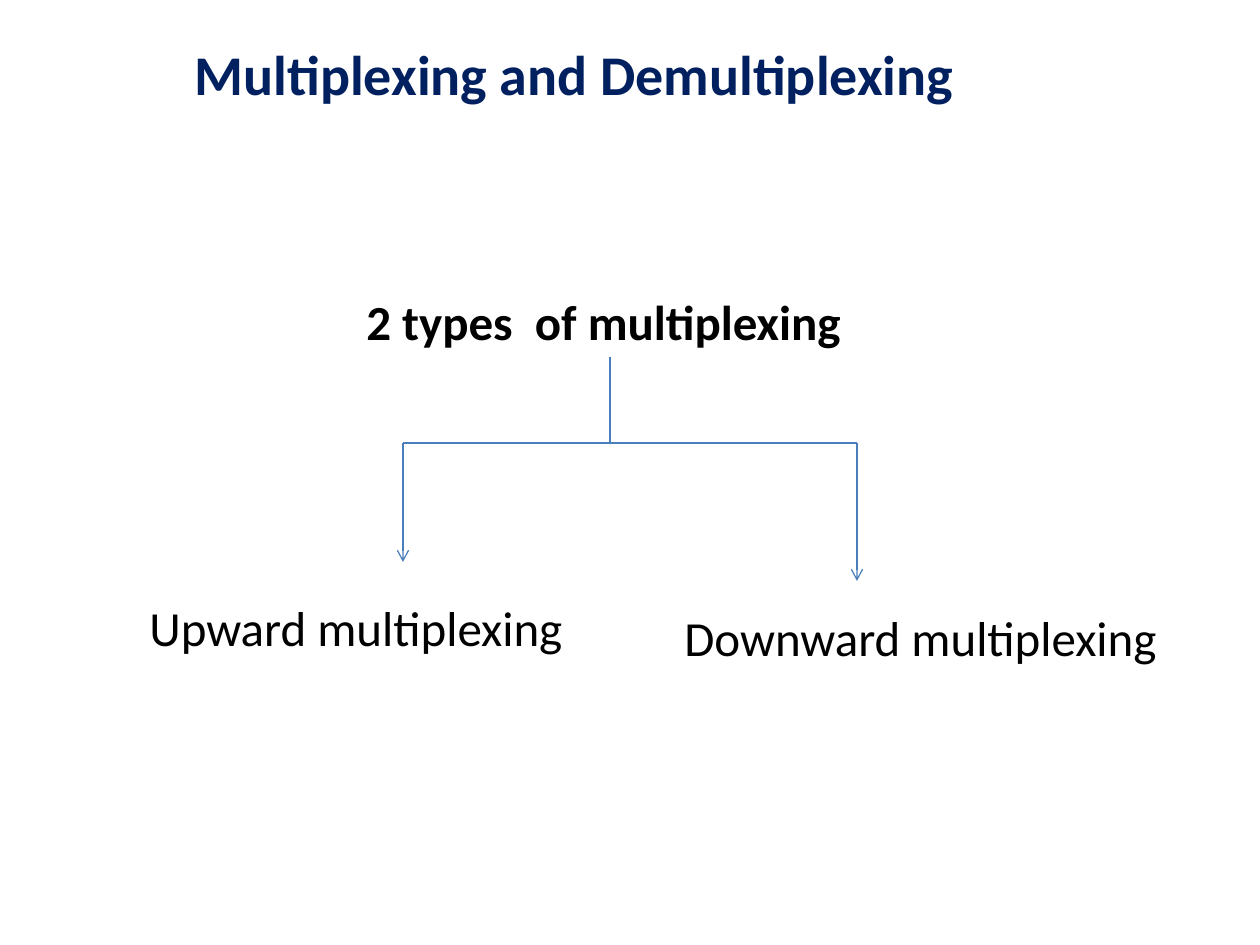
import pptx
import pptx.util
import pptx.dml.color
import pptx.enum.shapes
import pptx.enum.text
import lxml.etree
from dataclasses import dataclass

PX = 914400 // 126
ALIGN = pptx.enum.text.PP_ALIGN


@dataclass(frozen=True)
class Theme:
    font: str = "Calibri"
    title_color: str = "002060"
    text_color: str = "000000"
    line_color: str = "4A7EBB"
    title_size: int = 32
    text_size: int = 28
    line_width: float = 0.75


theme = Theme()


def style(para, size, color, bold):
    para.font.name = theme.font
    para.font.size = pptx.util.Pt(size)
    para.font.bold = bold
    para.font.color.rgb = pptx.dml.color.RGBColor.from_string(color)


def add_line(page, start, end, arrow):
    line = page.shapes.add_connector(
        pptx.enum.shapes.MSO_CONNECTOR.STRAIGHT,
        *[value * PX for value in start + end],
    )
    line.line.color.rgb = pptx.dml.color.RGBColor.from_string(theme.line_color)
    line.line.width = pptx.util.Pt(theme.line_width)
    namespace = pptx.oxml.ns.qn
    if arrow:
        outline = line.line._get_or_add_ln()
        lxml.etree.SubElement(outline, namespace("a:tailEnd"), type="arrow")
    lxml.etree.SubElement(line._element.spPr, namespace("a:effectLst"))
    return line


deck = pptx.Presentation()
deck.slide_width = pptx.util.Inches(10)
deck.slide_height = pptx.util.Inches(7.5)
page = deck.slides.add_slide(deck.slide_layouts[5])

title = page.shapes.title
title.left, title.top, title.width, title.height = [
    value * PX for value in (39, 39, 1071, 69)
]
title.text_frame.text = "Multiplexing and Demultiplexing"
title.text_frame.auto_size = pptx.enum.text.MSO_AUTO_SIZE.NONE
title.text_frame.vertical_anchor = pptx.enum.text.MSO_ANCHOR.MIDDLE
title.text_frame.paragraphs[0].alignment = ALIGN.CENTER
style(title.text_frame.paragraphs[0], theme.title_size, theme.title_color, True)

labels = [
    ("2 types  of multiplexing ", (354, 256, 512, 101), True, ALIGN.JUSTIFY, 1.5, True),
    ("Upward multiplexing", (137, 591, 512, 72), False, ALIGN.LEFT, 1, True),
    ("Downward multiplexing", (672, 601, 499, 72), False, ALIGN.LEFT, 1, False),
]
boxes = []
for text, place, bold, alignment, spacing, wrap in labels:
    box = page.shapes.add_textbox(*[value * PX for value in place])
    box.text_frame.word_wrap = wrap
    box.text_frame.auto_size = pptx.enum.text.MSO_AUTO_SIZE.SHAPE_TO_FIT_TEXT
    box.text_frame.text = text
    para = box.text_frame.paragraphs[0]
    para.alignment = alignment
    para.line_spacing = spacing
    style(para, theme.text_size, theme.text_color, bold)
    boxes.append(box)

stem_x, branch_y = 610, 443
stem = add_line(page, (stem_x, 357), (stem_x, branch_y), False)
stem.begin_connect(boxes[0], 2)
for branch_x, tip_y in [(403, 562), (857, 581)]:
    add_line(page, (stem_x, branch_y), (branch_x, branch_y), False)
    add_line(page, (branch_x, branch_y), (branch_x, tip_y), True)

deck.save("out.pptx")
